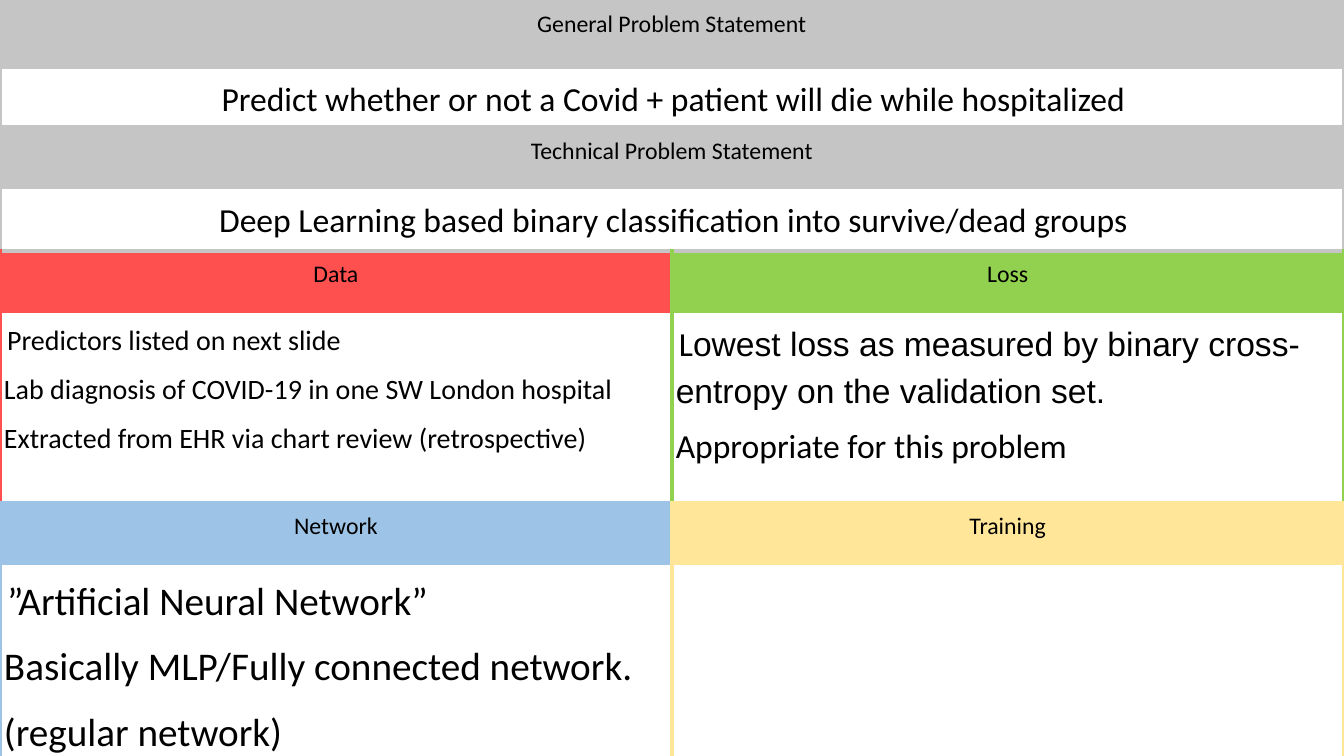
from dataclasses import dataclass

from lxml import etree
from pptx import Presentation, util as u
from pptx.dml.color import RGBColor
from pptx.enum import text
from pptx.oxml import ns
from pptx.table import Table, _Cell

GREY, RED, GREEN, BLUE, YELLOW = "C5C5C5", "FF5050", "92D050", "9DC3E6", "FFE699"
BLACK = "000000"
ROW_HEIGHTS = (1.7, 1.5, 1.57, 1.55, 1.57, 4.78, 1.57, 4.78)
COLUMN_WIDTH = 16.93
SIDES = ("L", "R", "T", "B")
CELL_FORMAT = {
    "margin_left": u.Cm(0.1),
    "margin_right": u.Cm(0.1),
    "margin_top": u.Cm(0.1),
    "margin_bottom": u.Cm(0.1),
    "vertical_anchor": text.MSO_ANCHOR.TOP,
}
TABLE_FORMAT = {"first_row": False, "horz_banding": False}


@dataclass(frozen=True)
class Run:
    words: str
    size: float
    font: str = "Calibri"


@dataclass(frozen=True)
class Section:
    row: int
    column: int
    title: str
    body: tuple[tuple[Run, ...], ...]
    fill: str
    top: str
    right: str
    bottom: str
    full_width: bool = False
    boxed: bool = False


INDENT = Run(" ", 10)

SECTIONS = (
    Section(0, 0, "General Problem Statement",
            ((INDENT, Run("Predict whether or not a Covid + patient will die while hospitalized", 24)),),
            GREY, GREY, GREY, GREY, full_width=True, boxed=True),
    Section(2, 0, "Technical Problem Statement",
            ((INDENT, Run("Deep Learning based binary classification into survive/dead groups", 24)),),
            GREY, GREY, GREY, GREY, full_width=True),
    Section(4, 0, "Data",
            ((INDENT, Run("Predictors listed on next slide", 20)),
             (Run("Lab diagnosis of COVID-19 in one SW London hospital", 20),),
             (Run("Extracted from EHR via chart review (retrospective)", 20),)),
            RED, GREY, GREEN, BLUE),
    Section(4, 1, "Loss",
            ((INDENT, Run("L", 24),
              Run("owest loss as measured by binary cross-entropy on the validation set.", 24, "Arial")),
             (Run("Appropriate for this problem", 24),)),
            GREEN, GREY, GREEN, YELLOW),
    Section(6, 0, "Network",
            ((INDENT, Run("”Artificial Neural Network”", 28)),
             (Run("Basically MLP/Fully connected network.", 28),),
             (Run("(regular network)", 28),)),
            BLUE, BLUE, YELLOW, BLUE),
    Section(6, 1, "Training", (), YELLOW, YELLOW, YELLOW, YELLOW),
)


def color(value: str) -> RGBColor:
    return RGBColor.from_string(value)


def apply(target: object, values: dict) -> None:
    for name, value in values.items():
        setattr(target, name, value)


def set_borders(cell: _Cell, borders: dict[str, str]) -> None:
    properties = cell._tc.get_or_add_tcPr()
    for side in SIDES:
        line = etree.SubElement(properties, ns.qn(f"a:ln{side}"), w=str(u.Pt(3)))
        if side in borders:
            fill = etree.SubElement(line, ns.qn("a:solidFill"))
            etree.SubElement(fill, ns.qn("a:srgbClr"), val=borders[side])
        else:
            etree.SubElement(line, ns.qn("a:noFill"))


def write_cell(cell: _Cell, lines: tuple[tuple[Run, ...], ...], alignment: text.PP_ALIGN) -> None:
    apply(cell, CELL_FORMAT)
    for index, runs in enumerate(lines):
        frame = cell.text_frame
        paragraph = frame.add_paragraph() if index else frame.paragraphs[0]
        apply(paragraph, {"alignment": alignment, "line_spacing": 1.19,
                          "space_before": u.Pt(6 if index else 0)})
        for item in runs:
            run = paragraph.add_run()
            run.text = item.words
            apply(run.font, {"name": item.font, "size": u.Pt(item.size)})
            run.font.color.rgb = color(BLACK)


def draw_section(table: Table, section: Section) -> None:
    header = table.cell(section.row, section.column)
    body = table.cell(section.row + 1, section.column)
    if section.full_width:
        for offset, cell in enumerate((header, body)):
            cell.merge(table.cell(section.row + offset, 1))

    sides = {"L": section.fill, "R": section.right}
    middle = section.fill
    header_extra = {"B": middle} if section.boxed else {}
    body_extra = {"T": middle} if section.boxed else {}
    set_borders(header, sides | {"T": section.top} | header_extra)
    set_borders(body, sides | {"B": section.bottom} | body_extra)

    header.fill.solid()
    header.fill.fore_color.rgb = color(section.fill)
    body.fill.background()

    centre, left = text.PP_ALIGN.CENTER, text.PP_ALIGN.LEFT
    write_cell(header, ((Run(section.title, 17),),), centre)
    write_cell(body, section.body, centre if section.full_width else left)


def main() -> None:
    presentation = Presentation()
    apply(presentation, {"slide_width": u.Cm(33.87), "slide_height": u.Cm(19.05)})
    slide = presentation.slides.add_slide(presentation.slide_layouts[6])
    shape = slide.shapes.add_table(len(ROW_HEIGHTS), 2, 0, 0,
                                   u.Cm(2 * COLUMN_WIDTH), u.Cm(sum(ROW_HEIGHTS)))
    table = shape.table
    apply(table, TABLE_FORMAT)
    for column in table.columns:
        column.width = u.Cm(COLUMN_WIDTH)
    for row, height in zip(table.rows, ROW_HEIGHTS):
        row.height = u.Cm(height)
    for section in SECTIONS:
        draw_section(table, section)
    presentation.save("out.pptx")


if __name__ == "__main__":
    main()
